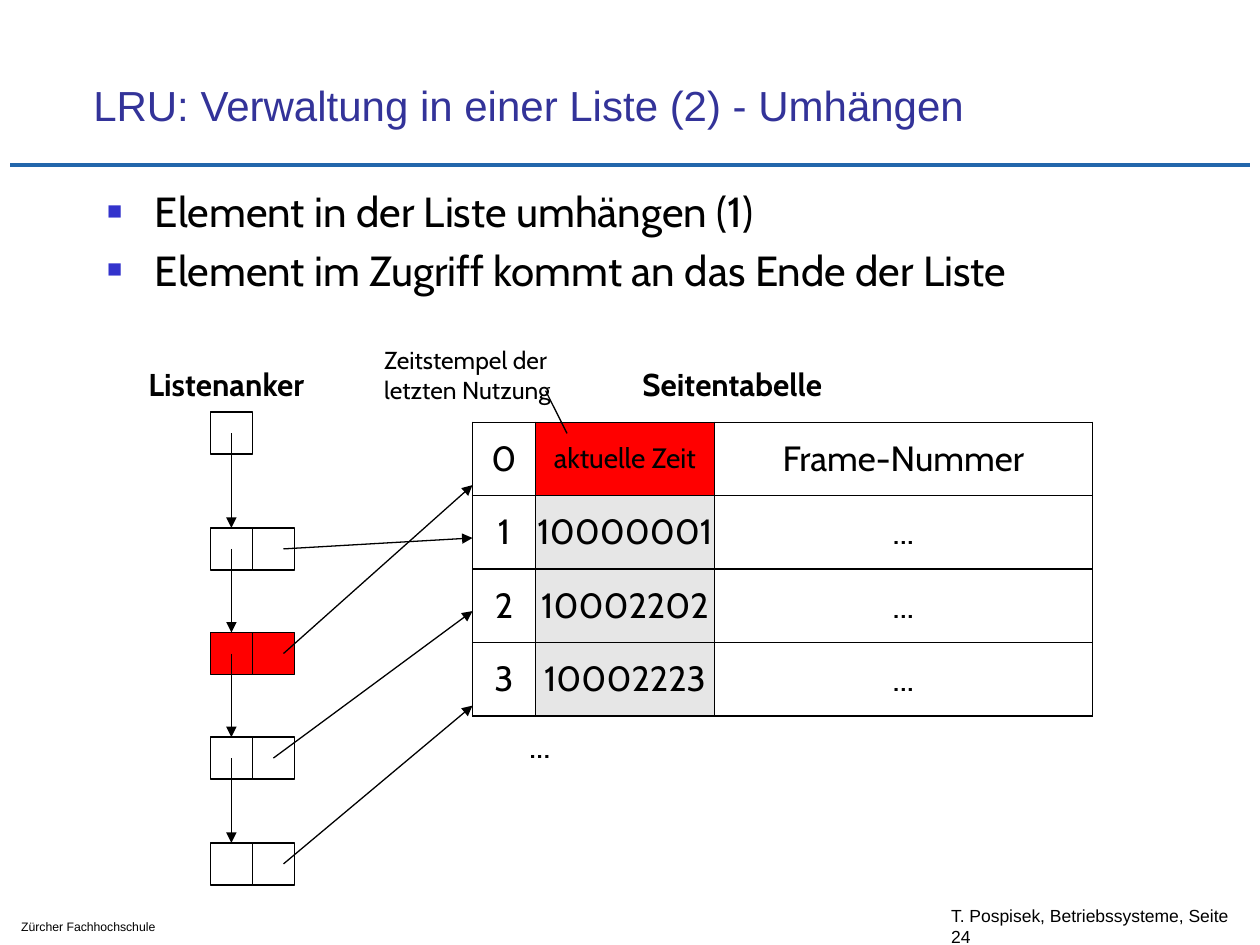
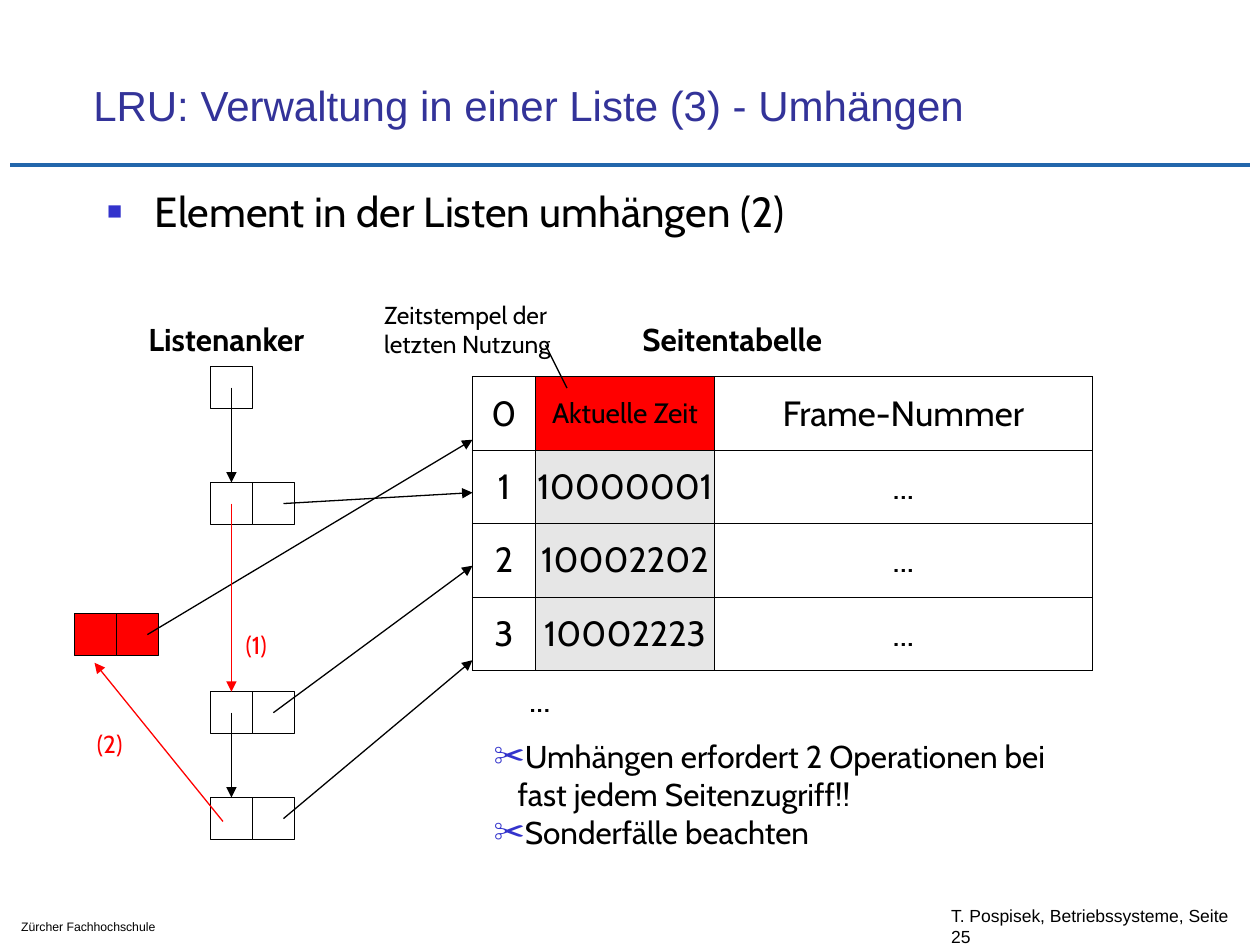
"""Builds two slides on moving an element inside an LRU list."""
from lxml import etree
from pptx import Presentation
from pptx import util as u
from pptx.dml.color import RGBColor
from pptx.enum import shapes, text
from pptx.oxml import ns

COLORS = {
    "black": "000000", "white": "FFFFFF", "red": "FF0000", "stamp": "E6E6E6",
    "title": "333399", "bullet": "3333CC", "rule": "2266AB",
}
BODY_FONT, FRAME_FONT = "Cabin", "Arial"
LINE_WIDTH = 0.75
CELL = 1 / 3
ROW_HEIGHT = 7 / 12
COLUMN_WIDTHS = (0.5, 1.42, 3)
TABLE_LEFT = 3.75
LIST_LEFT = 1.67
LIST_CENTER = LIST_LEFT + CELL / 2
NODE_DROPS = (0.84, 1.67, 2.5, 3.34)


def rgb(name):
    """Return the named colour."""
    return RGBColor.from_string(COLORS[name])


def add_xml(parent, tag, **attributes):
    """Append a DrawingML element and return it."""
    return etree.SubElement(parent, ns.qn(tag), attributes)


def place(shape, left, top, width, height):
    """Move and size a shape, in inches."""
    values = {"left": left, "top": top, "width": width, "height": height}
    for name, value in values.items():
        setattr(shape, name, u.Inches(value))


def write(para, words, size, color="black", font=BODY_FONT, bold=False):
    """Add formatted words to a paragraph."""
    span = para.add_run()
    span.text = words
    values = {"name": font, "size": u.Pt(size), "bold": bold}
    for name, value in values.items():
        setattr(span.font, name, value)
    span.font.color.rgb = rgb(color)


def set_bullet(para, mark, indent, scale=100):
    """Give a paragraph a coloured hanging bullet."""
    props = para._p.get_or_add_pPr()
    props.set("marL", str(u.Inches(indent)))
    props.set("indent", str(-u.Inches(indent)))
    color = add_xml(props, "a:buClr")
    add_xml(color, "a:srgbClr", val=COLORS["bullet"])
    add_xml(props, "a:buSzPct", val=str(scale * 1000))
    add_xml(props, "a:buFont", typeface=FRAME_FONT)
    add_xml(props, "a:buChar", char=mark)


def paragraphs(frame, lines):
    """Yield a paragraph of the frame with each line."""
    for index, line in enumerate(lines):
        yield frame.add_paragraph() if index else frame.paragraphs[0], line


def add_label(page, area, lines, size, anchor=text.MSO_ANCHOR.TOP, bullet=None, **style):
    """Add a text box with one paragraph per line."""
    box = page.shapes.add_textbox(*map(u.Inches, area))
    frame = box.text_frame
    frame.word_wrap = True
    frame.vertical_anchor = anchor
    for para, line in paragraphs(frame, lines):
        if bullet:
            set_bullet(para, bullet, 0.19)
        write(para, line, size, **style)


def add_line(page, start, end, color="black", width=LINE_WIDTH, arrow=False, target=None):
    """Add a straight line, with an arrowhead or joined to a box top if asked."""
    line = page.shapes.add_connector(
        shapes.MSO_CONNECTOR.STRAIGHT, *map(u.Inches, (*start, *end)))
    if target is not None:
        line.end_connect(target, 0)
    line.line.color.rgb = rgb(color)
    line.line.width = u.Pt(width)
    if arrow:
        add_xml(line.line._get_or_add_ln(), "a:tailEnd", type="triangle")
    add_xml(line._element.spPr, "a:effectLst")


def add_cell_box(page, left, top, color=None):
    """Add one square of a list element."""
    box = page.shapes.add_shape(
        shapes.MSO_SHAPE.RECTANGLE, *map(u.Inches, (left, top, CELL, CELL)))
    box.shadow.inherit = False
    if color:
        box.fill.solid()
        box.fill.fore_color.rgb = rgb(color)
    else:
        box.fill.background()
    box.line.color.rgb = rgb("black")
    box.line.width = u.Pt(LINE_WIDTH)
    return box


def add_node(page, left, top, color="white"):
    """Add a two-part list element and return its left square."""
    first, _ = [add_cell_box(page, left + part * CELL, top, color) for part in range(2)]
    return first


def set_borders(cell):
    """Draw a thin black line on each side of a table cell."""
    props = cell._tc.get_or_add_tcPr()
    for side in "LRTB":
        line = add_xml(props, f"a:ln{side}", w=str(u.Pt(LINE_WIDTH)))
        fill = add_xml(line, "a:solidFill")
        add_xml(fill, "a:srgbClr", val=COLORS["black"])


def fill_cell(cell, words, size, color):
    """Format one cell of the page table."""
    values = {"vertical_anchor": text.MSO_ANCHOR.MIDDLE, "margin_left": 0, "margin_right": 0}
    for name, value in values.items():
        setattr(cell, name, value)
    set_borders(cell)
    if color:
        cell.fill.solid()
        cell.fill.fore_color.rgb = rgb(color)
    else:
        cell.fill.background()
    para = cell.text_frame.paragraphs[0]
    para.alignment = text.PP_ALIGN.CENTER
    write(para, words, size)


def add_page_table(page, top, current_time):
    """Add the page table with its headings and time stamp note."""
    rows = [("0", current_time, "Frame-Nummer")]
    stamps = ("10000001", "10002202", "10002223")
    rows += [(str(number), stamp, "...") for number, stamp in enumerate(stamps, 1)]
    area = (TABLE_LEFT, top, sum(COLUMN_WIDTHS), len(rows) * ROW_HEIGHT)
    table = page.shapes.add_table(
        len(rows), len(COLUMN_WIDTHS), *map(u.Inches, area)).table
    table.first_row = table.horz_banding = False
    for column, width in zip(table.columns, COLUMN_WIDTHS):
        column.width = u.Inches(width)
    for r, row in enumerate(rows):
        table.rows[r].height = u.Inches(ROW_HEIGHT)
        fills = ("white", "stamp" if r else "red", None)
        for c, (words, color) in enumerate(zip(row, fills)):
            size = 16 if (r, c) == (0, 1) else 20
            fill_cell(table.cell(r, c), words, size, color)
    add_label(page, (5, top - 0.5, 1.85, 0.4), ["Seitentabelle"], 18, bold=True)
    add_label(page, (4.1, top + 2.34, 0.42, 0.43), ["..."], 20)
    add_label(page, (2.95, top - 0.66, 1.69, 0.57),
              ["Zeitstempel der", "letzten Nutzung"], 14)
    add_line(page, (4.33, top - 0.25), (4.5, top + 0.09))


def add_list(page, top, moved_at=None):
    """Add the linked list; the red element may stand outside at moved_at."""
    add_label(page, (1.08, top - 0.5, 1.69, 0.4), ["Listenanker"], 18, bold=True)
    add_cell_box(page, LIST_LEFT, top - 0.08)
    spots = [(LIST_LEFT, top + drop) for drop in NODE_DROPS]
    if moved_at:
        spots[1] = moved_at
    nodes = [add_node(page, *spot, "red" if index == 1 else "white")
             for index, spot in enumerate(spots)]
    pointers = zip(spots, (0.58, 0.58, 0.5, 0.58), (0.92, 0.5, 1.5, 2.25))
    for (left, node_top), offset, drop in pointers:
        add_line(page, (left + offset, node_top + CELL / 2),
                 (TABLE_LEFT, top + drop), arrow=True)
    chain = [nodes[0], *nodes[2:]] if moved_at else nodes
    start = top - 0.08
    for node in chain:
        node_top = node.top / u.Inches(1)
        relinked = moved_at and node is nodes[2]
        add_line(page, (LIST_CENTER, start + CELL / 2), (LIST_CENTER, node_top),
                 color="red" if relinked else "black", arrow=True, target=node)
        start = node_top


def add_page(deck, number, title, points):
    """Add a slide with title, list, rule and footers."""
    page = deck.slides.add_slide(deck.slide_layouts[1])
    heading, body = page.shapes.title, page.placeholders[1]
    place(heading, 0.64, 0.33, 8.52, 0.75)
    place(body, 0.75, 1.42, 8.5, 4.92)
    for shape, anchor in ((heading, text.MSO_ANCHOR.BOTTOM), (body, text.MSO_ANCHOR.TOP)):
        shape.text_frame.vertical_anchor = anchor
        shape.text_frame.auto_size = text.MSO_AUTO_SIZE.NONE
    para = heading.text_frame.paragraphs[0]
    para.alignment = text.PP_ALIGN.LEFT
    write(para, title, 24, "title", FRAME_FONT)
    for index, (para, point) in enumerate(paragraphs(body.text_frame, points)):
        para.space_before = u.Pt(4.8 if index else 0)
        set_bullet(para, "■", 0.38, 60)
        write(para, point, 24)
    add_line(page, (0.08, 1.31), (9.92, 1.31), "rule", 2.5)
    add_label(page, (7.45, 7.2, 2.55, 0.3),
              [f"T. Pospisek, Betriebssysteme, Seite {number}"], 10,
              text.MSO_ANCHOR.MIDDLE, font=FRAME_FONT)
    add_label(page, (0.07, 7.25, 1.72, 0.22), ["Zürcher Fachhochschule"], 7, font=FRAME_FONT)
    return page


def add_relinking(page, top):
    """Add the second step's red arrow, step numbers and conclusions."""
    add_line(page, (1.77, top + 3.53), (0.75, top + 2.27), "red", arrow=True)
    for left, drop, step in ((1.85, 1.96, "(1)"), (0.67, 2.75, "(2)")):
        add_label(page, (left, top + drop, 0.51, 0.33), [step], 14, color="red")
    add_label(page, (3.82, 5.8, 4.65, 1),
              ["Umhängen erfordert 2 Operationen bei fast jedem Seitenzugriff!!",
               "Sonderfälle beachten"], 18, bullet="✂")


def main():
    """Build and save the deck."""
    deck = Presentation()
    deck.slide_width, deck.slide_height = u.Inches(10), u.Inches(7.5)

    page = add_page(deck, 24, "LRU: Verwaltung in einer Liste (2) - Umhängen",
                    ["Element in der Liste umhängen (1)",
                     "Element im Zugriff kommt an das Ende der Liste"])
    add_page_table(page, 3.35, "aktuelle Zeit")
    add_list(page, 3.35)

    page = add_page(deck, 25, "LRU: Verwaltung in einer Liste (3) - Umhängen",
                    ["Element in der Listen umhängen (2)"])
    add_page_table(page, 2.99, "Aktuelle Zeit")
    add_list(page, 2.99, moved_at=(0.59, 4.87))
    add_relinking(page, 2.99)

    deck.save("out.pptx")


if __name__ == "__main__":
    main()
